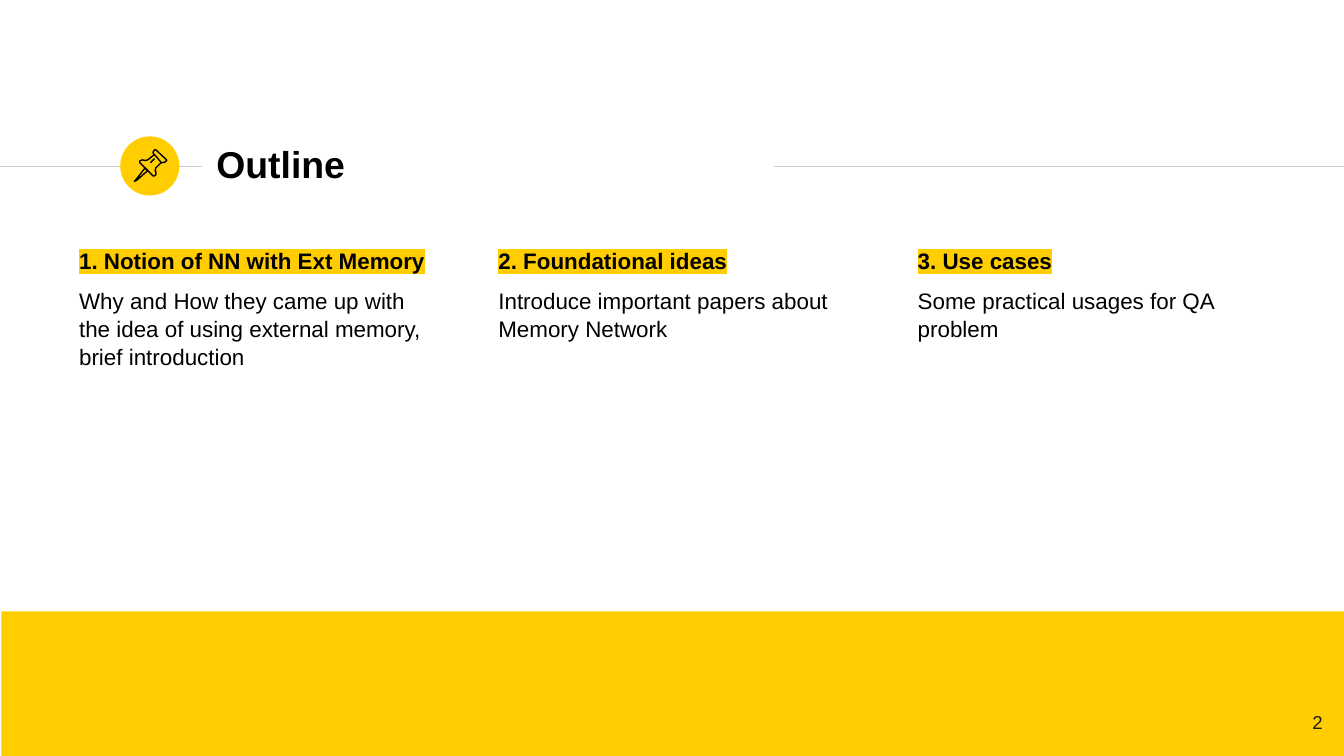
"""Build the outline slide: titled rule, three topic columns and a footer band."""
from dataclasses import dataclass

from lxml.etree import SubElement
from pptx import Presentation
from pptx.dml.color import RGBColor
from pptx.enum.shapes import MSO_CONNECTOR, MSO_SHAPE
from pptx.enum.text import MSO_ANCHOR, MSO_AUTO_SIZE, PP_ALIGN
from pptx.oxml import parse_xml
from pptx.oxml.ns import nsdecls, qn
from pptx.shapes.group import GroupShape
from pptx.slide import Slide
from pptx.text.text import TextFrame, _Paragraph
from pptx.util import Emu, Pt

EMU_PER_PX = 4572


@dataclass(frozen=True)
class Theme:
    font: str = "Arial"
    accent: str = "FFCD00"
    ink: str = "000000"
    number: str = "1D1D1B"
    rule: str = "CCCCCC"
    title_size: int = 20
    body_size: int = 12
    number_size: int = 10
    line_width: float = 0.75


@dataclass(frozen=True)
class Box:
    x: int
    y: int
    w: int
    h: int

    def emu(self) -> tuple[Emu, ...]:
        return tuple(px(v) for v in (self.x, self.y, self.w, self.h))


@dataclass(frozen=True)
class Topic:
    heading: str
    detail: str


@dataclass(frozen=True)
class Stroke:
    points: tuple[tuple[int, int], ...]
    closed: bool = False


THEME = Theme()
SLIDE_W, SLIDE_H = 2000, 1125
RULE_Y = 248
RULES = ((0, 300), (1152, SLIDE_W))
BADGE = Box(179, 203, 88, 88)
BAND = Box(2, 910, 1998, 215)
TITLE = Box(302, 196, 848, 96)
NUMBER = Box(1868, 1038, 120, 86)
COLUMN = Box(98, 346, 556, 200)
COLUMN_STEP = 624
INSET = 20

TOPICS = (
    Topic("1. Notion of NN with Ext Memory",
          "Why and How they came up with the idea of using external memory, brief introduction"),
    Topic("2. Foundational ideas", "Introduce important papers about Memory Network"),
    Topic("3. Use cases", "Some practical usages for QA problem"),
)

PIN = (
    Stroke(((216, 250), (202, 268), (200, 270), (204, 268), (220, 254)), True),
    Stroke(((230, 230), (240, 242), (243, 242), (246, 241), (248, 239), (248, 238),
            (232, 223), (230, 223), (228, 226), (228, 228)), True),
    Stroke(((230, 230), (220, 238), (216, 239), (212, 238), (209, 239), (208, 240),
            (208, 242), (228, 262), (230, 262), (232, 260), (232, 256), (231, 254),
            (232, 250), (240, 242))),
    Stroke(((224, 242), (230, 236))),
)


def px(value: int) -> Emu:
    """Turn pixels into EMU."""
    return Emu(value * EMU_PER_PX)


def color(value: str) -> RGBColor:
    """Turn a hex string into a colour."""
    return RGBColor.from_string(value)


def add_rule(s: Slide, x1: int, x2: int) -> None:
    """Draw one part of the horizontal rule behind the title."""
    line = s.shapes.add_connector(
        MSO_CONNECTOR.STRAIGHT, px(x1), px(RULE_Y), px(x2), px(RULE_Y))
    line.line.color.rgb = color(THEME.rule)
    line.line.width = Pt(THEME.line_width)
    SubElement(line._element.spPr, qn("a:effectLst"))


def add_block(s: Slide, kind: MSO_SHAPE, box: Box) -> None:
    """Draw a plain accent shape."""
    sp = s.shapes.add_shape(kind, *box.emu())
    sp.shadow.inherit = False
    sp.fill.solid()
    sp.fill.fore_color.rgb = color(THEME.accent)
    sp.line.fill.background()


def add_stroke(group: GroupShape, stroke: Stroke) -> None:
    """Draw one outline of the pin icon."""
    start, *rest = stroke.points
    builder = group.shapes.build_freeform(*start, scale=EMU_PER_PX)
    builder.add_line_segments(rest, close=stroke.closed)
    sp = builder.convert_to_shape()
    sp.shadow.inherit = False
    sp.fill.background()
    sp.line.color.rgb = color(THEME.ink)
    sp.line.width = Pt(THEME.line_width)


def prepare(tf: TextFrame, anchor: MSO_ANCHOR = MSO_ANCHOR.TOP) -> None:
    """Set wrapping, insets and anchor of a text frame."""
    tf.word_wrap = True
    tf.auto_size = MSO_AUTO_SIZE.NONE
    tf.vertical_anchor = anchor
    tf.margin_left = tf.margin_right = tf.margin_top = tf.margin_bottom = px(INSET)


def add_run(p: _Paragraph, text: str, size: int, ink: str = THEME.ink,
            bold: bool = False, highlight: bool = False) -> None:
    """Add one formatted run to a paragraph."""
    r = p.add_run()
    r.text = text
    r.font.name = THEME.font
    r.font.size = Pt(size)
    r.font.bold = bold
    r.font.color.rgb = color(ink)
    if highlight:
        r.font._element.find(qn("a:solidFill")).addnext(parse_xml(
            f'<a:highlight {nsdecls("a")}><a:srgbClr val="{THEME.accent}"/></a:highlight>'))


def add_title(s: Slide, text: str) -> None:
    """Place and fill the title placeholder."""
    title = s.shapes.title
    title.left, title.top, title.width, title.height = TITLE.emu()
    prepare(title.text_frame, MSO_ANCHOR.MIDDLE)
    p = title.text_frame.paragraphs[0]
    p.alignment = PP_ALIGN.LEFT
    add_run(p, text, THEME.title_size, bold=True)


def add_topic(s: Slide, index: int, topic: Topic) -> None:
    """Add one column with a highlighted heading and its detail."""
    box = Box(COLUMN.x + index * COLUMN_STEP, COLUMN.y, COLUMN.w, COLUMN.h)
    tf = s.shapes.add_textbox(*box.emu()).text_frame
    prepare(tf)
    heading, detail = tf.paragraphs[0], tf.add_paragraph()
    heading.line_spacing = detail.line_spacing = 1.05
    detail.space_before = Pt(6)
    add_run(heading, topic.heading, THEME.body_size, bold=True, highlight=True)
    add_run(detail, topic.detail, THEME.body_size)


def add_number(s: Slide, text: str) -> None:
    """Add the slide number in the footer band."""
    tf = s.shapes.add_textbox(*NUMBER.emu()).text_frame
    prepare(tf)
    p = tf.paragraphs[0]
    p.alignment = PP_ALIGN.RIGHT
    add_run(p, text, THEME.number_size, THEME.number)


def main() -> None:
    """Build and save the slide."""
    prs = Presentation()
    prs.slide_width, prs.slide_height = px(SLIDE_W), px(SLIDE_H)
    s = prs.slides.add_slide(prs.slide_layouts[5])
    for x1, x2 in RULES:
        add_rule(s, x1, x2)
    add_block(s, MSO_SHAPE.OVAL, BADGE)
    add_block(s, MSO_SHAPE.RECTANGLE, BAND)
    add_title(s, "Outline")
    pin = s.shapes.add_group_shape()
    for stroke in PIN:
        add_stroke(pin, stroke)
    for index, topic in enumerate(TOPICS):
        add_topic(s, index, topic)
    add_number(s, "2")
    prs.save("out.pptx")


if __name__ == "__main__":
    main()
